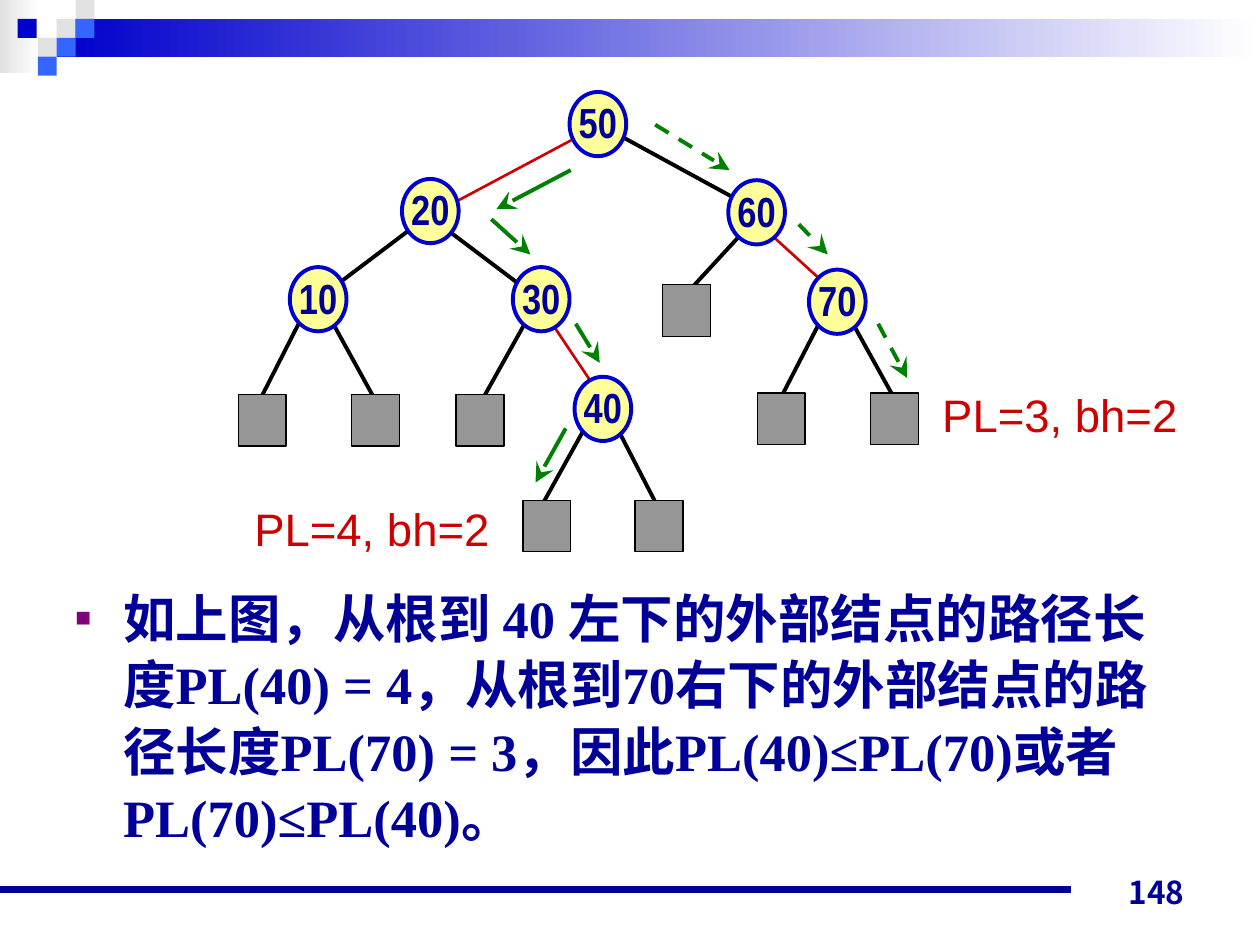
from lxml import etree
from pptx import Presentation
from pptx.dml.color import RGBColor
from pptx.enum.dml import MSO_LINE
from pptx.enum.shapes import MSO_CONNECTOR, MSO_SHAPE
from pptx.enum.text import MSO_ANCHOR, PP_ALIGN
from pptx.oxml.ns import qn
from pptx.util import Inches, Pt

RECTANGLE, OVAL = MSO_SHAPE.RECTANGLE, MSO_SHAPE.OVAL
STRAIGHT, DASH = MSO_CONNECTOR.STRAIGHT, MSO_LINE.DASH
LEFT, CENTER, RIGHT = PP_ALIGN.LEFT, PP_ALIGN.CENTER, PP_ALIGN.RIGHT
TOP, MIDDLE, BOTTOM = MSO_ANCHOR.TOP, MSO_ANCHOR.MIDDLE, MSO_ANCHOR.BOTTOM

NAVY, BLUE, SKY, SILVER = "000099", "0000CC", "3366FF", "E1E1E1"
WHITE, BLACK, RED, GREEN = "FFFFFF", "000000", "CC0000", "008000"
YELLOW, GRAY, PURPLE = "FFFF99", "969696", "800080"
CJK_FONT = "Noto Sans CJK JP"

KEYS = [
    ("50", 2.63, 0.01), ("20", 1.3, 0.7), ("60", 3.89, 0.71), ("10", 0.41, 1.4),
    ("30", 2.18, 1.4), ("70", 4.53, 1.42), ("40", 2.67, 2.27),
]
LEAVES = [
    (3.37, 1.54), (0, 2.41), (0.9, 2.41), (1.73, 2.41),
    (4.12, 2.4), (5.02, 2.4), (2.26, 3.25), (3.15, 3.25),
]
BLACK_EDGES = [
    (3, 0.34, 3.99, 0.88), (1.38, 1.09, 0.81, 1.52), (1.68, 1.12, 2.29, 1.58),
    (4.01, 1.12, 3.54, 1.63), (0.49, 1.83, 0.19, 2.42), (0.76, 1.86, 1.14, 2.55),
    (2.28, 1.84, 1.95, 2.43), (4.62, 1.83, 4.29, 2.47), (4.88, 1.85, 5.24, 2.5),
    (2.75, 2.68, 2.35, 3.4), (3.02, 2.7, 3.35, 3.34),
]
RED_EDGES = [
    (2.65, 0.39, 1.73, 0.88), (4.26, 1.17, 4.71, 1.58), (2.48, 1.83, 2.86, 2.4),
]
LEFT_PATH = [
    (2.64, 0.63, 2.05, 0.94), (2.01, 1.02, 2.32, 1.3),
    (2.68, 1.85, 2.87, 2.16), (2.6, 2.68, 2.36, 3.11),
]
RIGHT_PATH = [
    (3.31, 0.27, 3.9, 0.63), (4.45, 1.06, 4.68, 1.3), (5.08, 1.85, 5.31, 2.28),
]
SQUARES = [
    (0.45, 0.15, SILVER), (0.6, 0, SILVER), (0.6, 0.15, SKY), (0.3, 0.3, SILVER),
    (0.14, 0.15, BLUE), (0.45, 0.3, SKY), (0.3, 0.45, SKY),
]
BODY = (
    "如上图，从根到 40 左下的外部结点的路径长度PL(40) = 4，从根到70右下的外部结点的"
    "路径长度PL(70) = 3，因此PL(40)≤PL(70)或者PL(70)≤PL(40)。"
)


def color(value):
    return RGBColor.from_string(value)


def add_shape(page, kind, left, top, width, height, fill, line=None, weight=1):
    shape = page.shapes.add_shape(
        kind, Inches(left), Inches(top), Inches(width), Inches(height))
    shape.shadow.inherit = False
    shape.fill.solid()
    shape.fill.fore_color.rgb = color(fill)
    if line:
        shape.line.color.rgb = color(line)
        shape.line.width = Pt(weight)
    else:
        shape.line.fill.background()
    return shape


def add_gradient(page, left, top, width, height, start, end):
    shape = add_shape(page, RECTANGLE, left, top, width, height, start)
    shape.fill.gradient()
    shape.fill.gradient_angle = 0
    for stop, value, position in zip(shape.fill.gradient_stops, (start, end), (0, 1)):
        stop.color.rgb = color(value)
        stop.position = position


def add_line(page, left, top, ends, line, weight, dash=None, arrow=False):
    x1, y1, x2, y2 = ends
    connector = page.shapes.add_connector(
        STRAIGHT, Inches(left + x1), Inches(top + y1),
        Inches(left + x2), Inches(top + y2))
    connector.line.color.rgb = color(line)
    connector.line.width = Pt(weight)
    if dash:
        connector.line.dash_style = dash
    properties = connector._element.spPr
    if arrow:
        etree.SubElement(properties.find(qn("a:ln")), qn("a:tailEnd"),
                         type="stealth", w="lg", len="lg")
    etree.SubElement(properties, qn("a:effectLst"))


def add_box(page, left, top, width, height):
    return page.shapes.add_textbox(
        Inches(left), Inches(top), Inches(width), Inches(height))


def write(box, text, size, font, fill, bold=False, align=LEFT, anchor=TOP, wrap=True):
    frame = box.text_frame
    frame.word_wrap = wrap
    frame.vertical_anchor = anchor
    para = frame.paragraphs[0]
    para.alignment = align
    span = para.add_run()
    span.text = text
    span.font.size = Pt(size)
    span.font.name = font
    span.font.bold = bold
    span.font.color.rgb = color(fill)
    etree.SubElement(span.font._element, qn("a:ea"), typeface=CJK_FONT)
    return para


def add_bullet(para, indent, symbol, fill, percent):
    properties = para._p.get_or_add_pPr()
    properties.set("marL", str(Inches(indent)))
    properties.set("indent", str(-Inches(indent)))
    bullet_color = etree.SubElement(properties, qn("a:buClr"))
    etree.SubElement(bullet_color, qn("a:srgbClr"), val=fill)
    etree.SubElement(properties, qn("a:buSzPct"), val=str(percent * 1000))
    etree.SubElement(properties, qn("a:buFont"), typeface="Arial")
    etree.SubElement(properties, qn("a:buChar"), char=symbol)


def draw_header(page, left, top, width):
    add_gradient(page, left, top, 0.31, 0.58, SILVER, WHITE)
    add_gradient(page, left + 0.45, top + 0.15, width - 0.45, 0.3, BLUE, WHITE)
    for x, y, fill in SQUARES:
        add_shape(page, RECTANGLE, left + x, top + y, 0.15, 0.15, fill)


def draw_tree(page, left, top):
    for edges, line, weight in ((BLACK_EDGES, BLACK, 2.25), (RED_EDGES, RED, 1.5)):
        for edge in edges:
            add_line(page, left, top, edge, line, weight)
    for x, y in LEAVES:
        add_shape(page, RECTANGLE, left + x, top + y, 0.38, 0.41, GRAY, BLACK, 0.75)
    for key, x, y in KEYS:
        node = add_shape(page, OVAL, left + x, top + y, 0.45, 0.51, YELLOW, BLUE, 2.25)
        frame = node.text_frame
        frame.margin_left = frame.margin_right = frame.margin_top = 0
        frame.margin_bottom = Inches(0.03)
        write(node, key, 24, "Arial Narrow", NAVY, bold=True,
              align=CENTER, anchor=MIDDLE, wrap=False)
    for steps, dash in ((LEFT_PATH, None), (RIGHT_PATH, DASH)):
        for step in steps:
            add_line(page, left, top, step, GREEN, 2.25, dash, arrow=True)
    for text, x, y in (("PL=4, bh=2", 0.03, 3.21), ("PL=3, bh=2", 5.49, 2.3)):
        label = add_box(page, left + x, top + y, 2.07, 0.54)
        write(label, text, 26, "Arial", RED, wrap=False)


def draw_body(page, left, top, width, height):
    box = add_box(page, left, top, width, height)
    para = write(box, BODY, 30, "Times New Roman", NAVY, bold=True)
    para.line_spacing = 1.05
    add_bullet(para, 0.38, "■", PURPLE, 50)


def draw_footer(page, left, top):
    add_line(page, left, top, (0, 0.28, 8.5, 0.28), NAVY, 4.5)
    number = add_box(page, left + 7.17, top, 2.33, 0.5)
    write(number, "148", 18, CJK_FONT, NAVY, bold=True, align=RIGHT, anchor=BOTTOM)


def main():
    deck = Presentation()
    deck.slide_width, deck.slide_height = Inches(10), Inches(7.5)
    page = deck.slides.add_slide(deck.slide_layouts[6])
    draw_header(page, 0, 0, 10)
    draw_footer(page, 0, 6.78)
    draw_body(page, 0.5, 4.58, 9, 2.44)
    draw_tree(page, 1.89, 0.72)
    deck.save("out.pptx")


if __name__ == "__main__":
    main()
